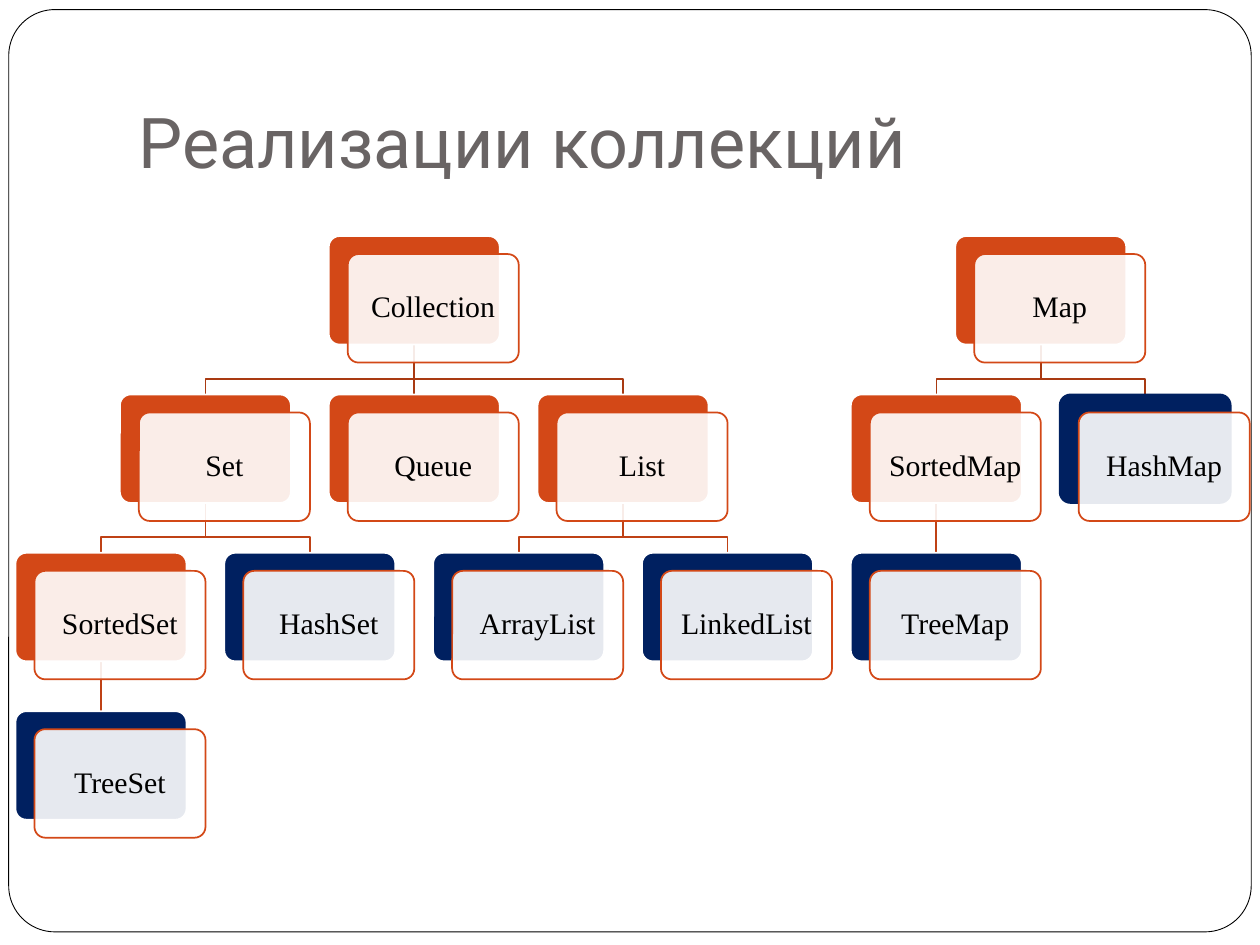
from dataclasses import dataclass

from lxml import etree
from pptx import Presentation
from pptx.dml.color import RGBColor
from pptx.enum.shapes import MSO_SHAPE
from pptx.enum.text import MSO_ANCHOR, MSO_AUTO_SIZE, PP_ALIGN
from pptx.oxml.ns import qn
from pptx.util import Pt

ROUNDED = MSO_SHAPE.ROUNDED_RECTANGLE
LEFT, CENTER = PP_ALIGN.LEFT, PP_ALIGN.CENTER
MIDDLE, BOTTOM = MSO_ANCHOR.MIDDLE, MSO_ANCHOR.BOTTOM
NO_AUTOFIT = MSO_AUTO_SIZE.NONE

BLACK = RGBColor(0x00, 0x00, 0x00)
WHITE = RGBColor(0xFF, 0xFF, 0xFF)
GRAY = RGBColor(0x69, 0x64, 0x64)
ORANGE = RGBColor(0xD3, 0x48, 0x17)
NAVY = RGBColor(0x00, 0x20, 0x60)
ROOT_LINK = RGBColor(0xA9, 0x3A, 0x12)
LOWER_LINK = RGBColor(0xBF, 0x41, 0x15)

TREE_LEFT, TREE_TOP = 8.85, 134.9
COLUMN_STEP, ROW_STEP = 59.67, 90.5
CARD_WIDTH, CARD_HEIGHT = 97.7, 62
CARD_SHIFT_X, CARD_SHIFT_Y = 10.85, 10.3
BEND_DROP = 19.6


@dataclass(frozen=True)
class TypeNode:
    """A collection type; column counts half-card steps from the left."""
    name: str
    column: int
    row: int
    parent: str = ""
    back: RGBColor = ORANGE
    edge: RGBColor = WHITE

    @property
    def left(self) -> float:
        """Left edge of the back card."""
        return TREE_LEFT + self.column * COLUMN_STEP

    @property
    def top(self) -> float:
        """Top edge of the back card."""
        return TREE_TOP + self.row * ROW_STEP

    @property
    def center(self) -> float:
        """Horizontal centre of the back card."""
        return self.left + CARD_WIDTH / 2


TYPES = [
    TypeNode("Collection", 3, 0),
    TypeNode("Set", 1, 1, "Collection"),
    TypeNode("SortedSet", 0, 2, "Set"),
    TypeNode("TreeSet", 0, 3, "SortedSet", NAVY),
    TypeNode("HashSet", 2, 2, "Set", NAVY),
    TypeNode("Queue", 3, 1, "Collection"),
    TypeNode("List", 5, 1, "Collection"),
    TypeNode("ArrayList", 4, 2, "List", NAVY),
    TypeNode("LinkedList", 6, 2, "List", NAVY),
    TypeNode("Map", 9, 0),
    TypeNode("SortedMap", 8, 1, "Map"),
    TypeNode("TreeMap", 8, 2, "SortedMap", NAVY),
    TypeNode("HashMap", 10, 1, "Map", NAVY, NAVY),
]


def write_text(shape, text: str, *, font: str, size: float, color: RGBColor,
               align=LEFT, anchor=MIDDLE, insets=(7.2, 3.6, 7.2, 3.6),
               line_spacing: float = 1.0) -> None:
    """Fill a shape with one formatted paragraph."""
    frame = shape.text_frame
    frame.word_wrap = True
    frame.auto_size = NO_AUTOFIT
    frame.vertical_anchor = anchor
    (frame.margin_left, frame.margin_top,
     frame.margin_right, frame.margin_bottom) = map(Pt, insets)
    paragraph = frame.paragraphs[0]
    paragraph.alignment = align
    paragraph.line_spacing = line_spacing
    run = paragraph.add_run()
    run.text = text
    run.font.name = font
    run.font.size = Pt(size)
    run.font.color.rgb = color


def add_rounded(slide, left: float, top: float, width: float, height: float, *,
                fill: RGBColor, line: RGBColor, line_width: float = 1,
                radius: float = 0.1, opacity: int = 100):
    """Add a rounded rectangle with the given fill and outline."""
    shape = slide.shapes.add_shape(ROUNDED, Pt(left), Pt(top), Pt(width), Pt(height))
    shape.adjustments[0] = radius
    shape.shadow.inherit = False
    shape.fill.solid()
    shape.fill.fore_color.rgb = fill
    shape.line.color.rgb = line
    shape.line.width = Pt(line_width)
    if opacity < 100:
        color = shape.fill._xPr.find(qn("a:solidFill"))[0]
        etree.SubElement(color, qn("a:alpha")).set("val", str(opacity * 1000))
    return shape


def add_link(slide, parent: TypeNode, child: TypeNode) -> None:
    """Draw the branch from a parent card down to a child card."""
    start = parent.top + CARD_HEIGHT
    points = [(child.center, child.top)]
    if parent.column != child.column:
        bend = start + BEND_DROP
        points = [(parent.center, bend), (child.center, bend)] + points
    builder = slide.shapes.build_freeform(Pt(parent.center), Pt(start))
    builder.add_line_segments([(Pt(x), Pt(y)) for x, y in points], close=False)
    branch = builder.convert_to_shape()
    branch.shadow.inherit = False
    branch.fill.background()
    branch.line.color.rgb = LOWER_LINK if parent.row else ROOT_LINK
    branch.line.width = Pt(1)


def add_type(slide, node: TypeNode) -> None:
    """Draw a back card and the translucent name card over it."""
    add_rounded(slide, node.left, node.top, CARD_WIDTH, CARD_HEIGHT,
                fill=node.back, line=node.edge)
    name_card = add_rounded(slide, node.left + CARD_SHIFT_X, node.top + CARD_SHIFT_Y,
                            CARD_WIDTH, CARD_HEIGHT, fill=WHITE, line=ORANGE, opacity=90)
    write_text(name_card, node.name, font="Times New Roman", size=17, color=BLACK,
               align=CENTER, insets=(6.5,) * 4, line_spacing=0.9)


def build() -> None:
    """Build and save the slide."""
    deck = Presentation()
    deck.slide_width, deck.slide_height = Pt(720), Pt(540)
    slide = deck.slides.add_slide(deck.slide_layouts[5])

    border = add_rounded(slide, 5, 5.5, 710, 527, fill=WHITE, line=BLACK,
                         line_width=0.5, radius=0.05)
    title = slide.shapes.title
    title._element.addprevious(border._element)
    title.left, title.top, title.width, title.height = map(Pt, (72, 21.6, 612, 90))
    write_text(title, "Реализации коллекций", font="Roboto", size=40, color=GRAY,
               anchor=BOTTOM, insets=(7.2, 3.6, 7.2, 7.2))

    by_name = {node.name: node for node in TYPES}
    for node in TYPES:
        if node.parent:
            add_link(slide, by_name[node.parent], node)
    for node in TYPES:
        add_type(slide, node)
    deck.save("out.pptx")


build()
